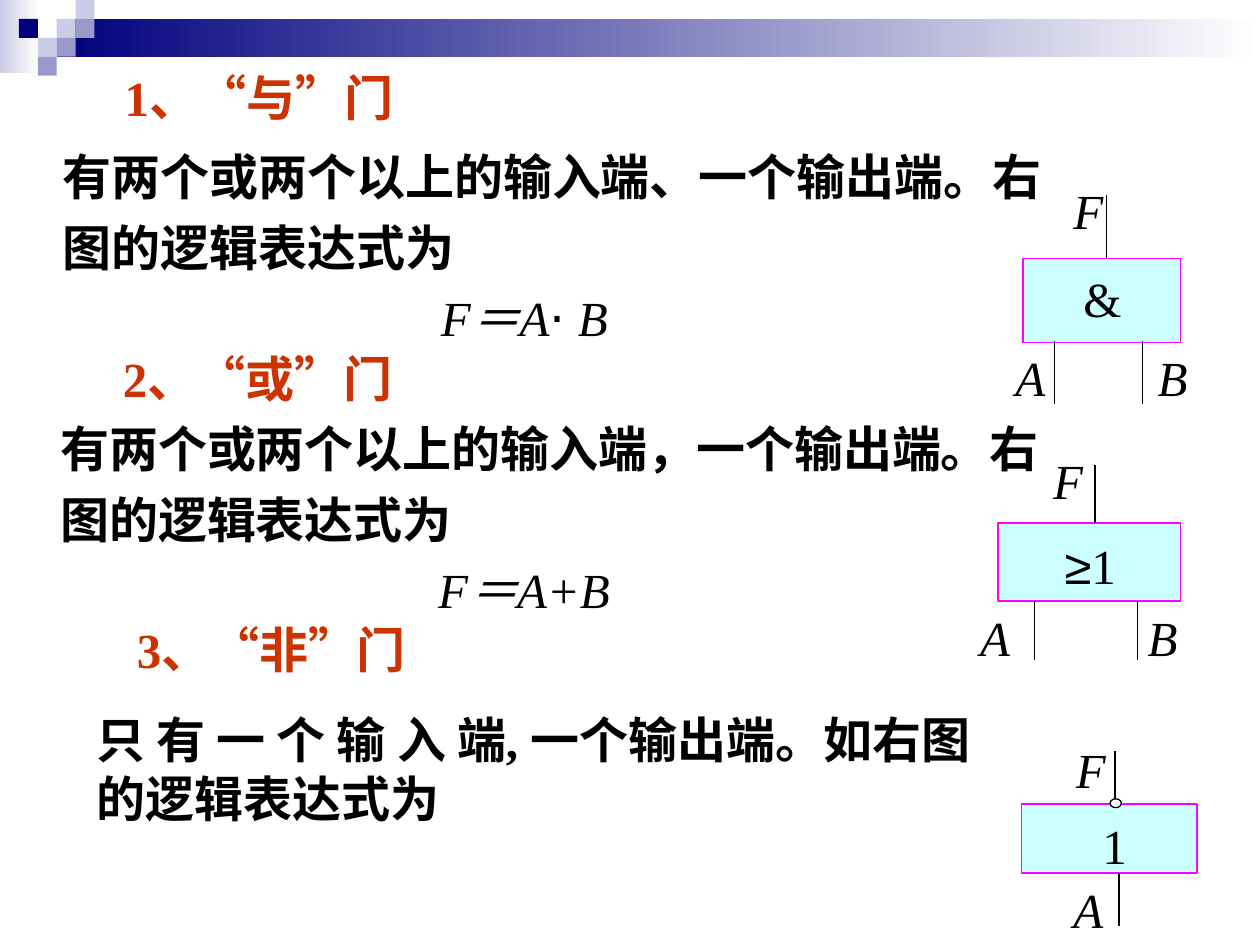
from dataclasses import dataclass
from typing import NamedTuple

from lxml.etree import SubElement
from pptx import Presentation
from pptx.dml.color import RGBColor
from pptx.enum.shapes import MSO_CONNECTOR, MSO_SHAPE
from pptx.enum.text import MSO_AUTO_SIZE
from pptx.oxml.ns import qn
from pptx.util import Inches, Pt

WHITE = RGBColor(0xFF, 0xFF, 0xFF)
BLACK = RGBColor(0x00, 0x00, 0x00)
NAVY = RGBColor(0x00, 0x00, 0x7D)
LAVENDER = RGBColor(0xCC, 0xCC, 0xE6)
PERIWINKLE = RGBColor(0x99, 0x99, 0xCC)
RED = RGBColor(0xCC, 0x33, 0x00)
MAGENTA = RGBColor(0xFF, 0x00, 0xFF)
CYAN = RGBColor(0xCC, 0xFF, 0xFF)

SERIF = "Times New Roman"
SANS = "Arial"
LABEL_HEIGHT = 0.57


class Box(NamedTuple):
    left: float
    top: float
    width: float
    height: float


class Run(NamedTuple):
    text: str
    font: str = SERIF


class Label(NamedTuple):
    runs: list[Run]
    left: float
    top: float
    width: float = 0.44
    wrap: bool = False
    italic: bool = True


class Lead(NamedTuple):
    x: float
    top: float
    bottom: float


@dataclass
class Gate:
    heading: str
    heading_box: Box
    description: str
    description_box: Box
    formula: list[Run]
    body: Box
    leads: list[Lead]
    labels: list[Label]
    bubble: Box | None = None


GATES = [
    Gate(
        " 2、“或”门", Box(0.78, 2.72, 2.82, LABEL_HEIGHT),
        "有两个或两个以上的输入端，一个输出端。右图的逻辑表达式为", Box(0.38, 3.18, 7.97, 1.78),
        [Run("F＝A+B")],
        Box(7.92, 4.15, 1.45, 0.62),
        [Lead(8.69, 3.69, 4.15), Lead(8.21, 4.77, 5.24), Lead(9.03, 4.77, 5.24)],
        [Label([Run("F")], 8.26, 3.53, 0.77, True),
         Label([Run("A")], 7.68, 4.77),
         Label([Run("B")], 9.01, 4.77),
         Label([Run("≥", SANS), Run("1")], 8.35, 4.2, 0.71, True, False)],
    ),
    Gate(
        "1、“与”门", Box(0.89, 0.49, 3.22, LABEL_HEIGHT),
        "有两个或两个以上的输入端、一个输出端。右图的逻辑表达式为", Box(0.4, 1.02, 7.97, 1.78),
        [Run("F＝A"), Run("⋅", SANS), Run("B")],
        Box(8.12, 2.05, 1.25, 0.67),
        [Lead(8.78, 1.55, 2.05), Lead(8.37, 2.71, 3.21), Lead(9.07, 2.71, 3.21)],
        [Label([Run("F")], 8.42, 1.38),
         Label([Run("A")], 7.96, 2.71),
         Label([Run("B")], 9.09, 2.71),
         Label([Run("&")], 8.5, 2.08, 0.5, False, False)],
    ),
    Gate(
        " 3、“非”门", Box(0.89, 4.87, 3.51, LABEL_HEIGHT),
        "只 有 一 个 输 入 端, 一个输出端。如右图的逻辑表达式为", Box(0.67, 5.58, 7.44, 1.04),
        [],
        Box(8.11, 6.38, 1.39, 0.55),
        [Lead(8.85, 5.96, 6.38), Lead(8.88, 6.93, 7.35)],
        [Label([Run("A")], 8.42, 6.93, 0.58, True),
         Label([Run("F")], 8.44, 5.82),
         Label([Run("1")], 8.65, 6.42, 0.4, True, False)],
        Box(8.81, 6.34, 0.09, 0.07),
    ),
]

# Header squares sit on a 0.15 inch grid: column, row, colour
GRID = 0.15
HEADER_SQUARES = [
    (3, 1, LAVENDER), (4, 0, LAVENDER), (4, 1, PERIWINKLE), (2, 2, LAVENDER),
    (1, 1, NAVY), (3, 2, PERIWINKLE), (2, 3, PERIWINKLE),
]


def add_block(slide, kind: MSO_SHAPE, box: Box, line: RGBColor | None = None):
    shape = slide.shapes.add_shape(kind, *map(Inches, box))
    shape.shadow.inherit = False
    if line is None:
        shape.line.fill.background()
    else:
        shape.line.color.rgb = line
        shape.line.width = Pt(0.75)
    return shape


def add_solid(slide, kind: MSO_SHAPE, box: Box, fill: RGBColor, line: RGBColor | None = None) -> None:
    shape = add_block(slide, kind, box, line)
    shape.fill.solid()
    shape.fill.fore_color.rgb = fill


def add_fade(slide, box: Box, color: RGBColor) -> None:
    fill = add_block(slide, MSO_SHAPE.RECTANGLE, box).fill
    fill.gradient()
    fill.gradient_angle = 180
    for stop, stop_color in zip(fill.gradient_stops, (WHITE, color)):
        stop.color.rgb = stop_color


def add_text(slide, box: Box, wrap: bool = True):
    frame = slide.shapes.add_textbox(*map(Inches, box)).text_frame
    frame.word_wrap = wrap
    frame.auto_size = MSO_AUTO_SIZE.SHAPE_TO_FIT_TEXT
    return frame.paragraphs[0]


def set_font(paragraph, color: RGBColor = BLACK, bold: bool = False, italic: bool = False) -> None:
    font = paragraph.font
    font.name, font.size = SERIF, Pt(28)
    font.bold, font.italic = bold, italic
    font.color.rgb = color


def add_runs(paragraph, runs: list[Run]) -> list:
    added = []
    for text, font_name in runs:
        run = paragraph.add_run()
        run.text = text
        if font_name != SERIF:
            run.font.name = font_name
        added.append(run)
    return added


def add_description(slide, gate: Gate) -> None:
    paragraph = add_text(slide, gate.description_box)
    if gate.formula:
        paragraph.line_spacing = 1.2
        tab_list = SubElement(paragraph._p.get_or_add_pPr(), qn("a:tabLst"))
        for inch in range(1, 4):
            SubElement(tab_list, qn("a:tab"), pos=str(Inches(inch)), algn="l")
    set_font(paragraph, bold=True)
    add_runs(paragraph, [Run(gate.description)])
    if gate.formula:
        paragraph.add_line_break()
        add_runs(paragraph, [Run("\t\t\t")])
        for run in add_runs(paragraph, gate.formula):
            run.font.bold, run.font.italic = False, True


def add_lead(slide, lead: Lead) -> None:
    x = Inches(lead.x)
    connector = slide.shapes.add_connector(
        MSO_CONNECTOR.STRAIGHT, x, Inches(lead.bottom), x, Inches(lead.top))
    connector.line.color.rgb = BLACK
    connector.line.width = Pt(0.75)
    SubElement(connector._element.spPr, qn("a:effectLst"))


def add_gate(slide, gate: Gate) -> None:
    heading = add_text(slide, gate.heading_box)
    set_font(heading, RED, bold=True)
    add_runs(heading, [Run(gate.heading)])
    add_description(slide, gate)
    add_solid(slide, MSO_SHAPE.RECTANGLE, gate.body, CYAN, MAGENTA)
    for lead in gate.leads:
        add_lead(slide, lead)
    for label in gate.labels:
        box = Box(label.left, label.top, label.width, LABEL_HEIGHT)
        paragraph = add_text(slide, box, label.wrap)
        set_font(paragraph, italic=label.italic)
        add_runs(paragraph, label.runs)
    if gate.bubble:
        add_solid(slide, MSO_SHAPE.OVAL, gate.bubble, WHITE, BLACK)


def main() -> None:
    presentation = Presentation()
    presentation.slide_width, presentation.slide_height = Inches(10), Inches(7.5)
    slide = presentation.slides.add_slide(presentation.slide_layouts[6])

    # Header band
    add_fade(slide, Box(0, 0, 0.31, 0.58), LAVENDER)
    add_fade(slide, Box(0.45, 0.15, 9.55, 0.3), NAVY)
    for column, row, color in HEADER_SQUARES:
        add_solid(slide, MSO_SHAPE.RECTANGLE, Box(column * GRID, row * GRID, GRID, GRID), color)

    # Gates with their explanations
    for gate in GATES:
        add_gate(slide, gate)

    presentation.save("out.pptx")


if __name__ == "__main__":
    main()
